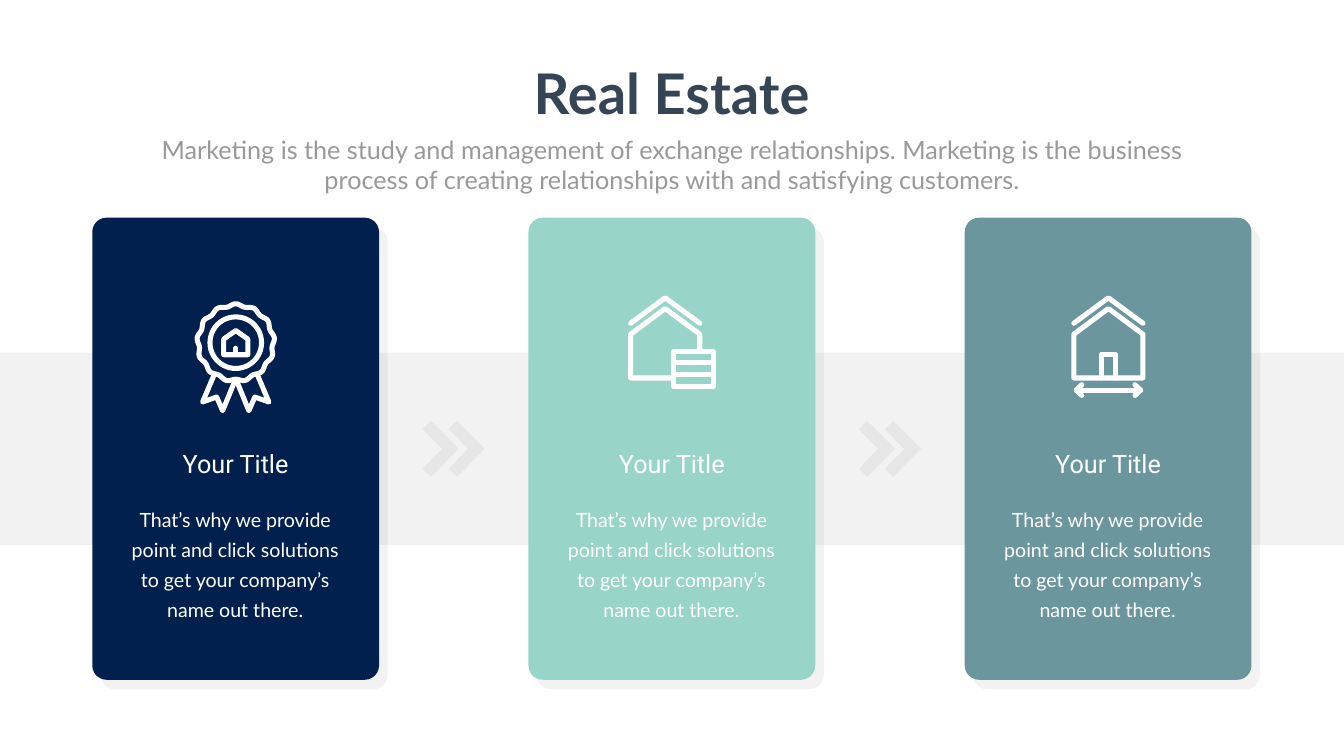
from math import cos, pi, sin

from lxml import etree
from pptx import Presentation
from pptx.dml.color import RGBColor
from pptx.enum.shapes import MSO_CONNECTOR, MSO_SHAPE
from pptx.enum.text import MSO_ANCHOR, MSO_AUTO_SIZE, PP_ALIGN
from pptx.oxml.ns import qn
from pptx.util import Cm, Pt

RECT, ROUNDED, OVAL = MSO_SHAPE.RECTANGLE, MSO_SHAPE.ROUNDED_RECTANGLE, MSO_SHAPE.OVAL
STRAIGHT = MSO_CONNECTOR.STRAIGHT
CENTER, TOP = PP_ALIGN.CENTER, MSO_ANCHOR.TOP
GROW = MSO_AUTO_SIZE.SHAPE_TO_FIT_TEXT

# Content
TITLE = "Real Estate"
SUBTITLE = ("Marketing is the study and management of exchange relationships. Marketing is the "
            "business process of creating relationships with and satisfying customers.")
CARD_TEXT = "That’s why we provide point and click solutions to get your company’s name out there."
CARDS = [
    {"title": "Your Title", "text": CARD_TEXT, "fill": "01204D", "icon": "badge", "icon_at": (9.8, 15.21)},
    {"title": "Your Title", "text": CARD_TEXT, "fill": "98D4C7", "icon": "stack", "icon_at": (31.65, 14.86)},
    {"title": "Your Title", "text": CARD_TEXT, "fill": "6B969D", "icon": "width", "icon_at": (53.98, 14.86)},
]

# Formats
TITLE_FONT = {"name": "Lato", "size": Pt(80), "bold": True}
SUBTITLE_FONT = {"name": "Lato", "size": Pt(36), "bold": False}
CARD_TITLE_FONT = {"name": "Roboto", "size": Pt(36)}
CARD_TEXT_FONT = {"name": "Lato", "size": Pt(28)}
WHITE, GREY = "FFFFFF", "808080"
STROKE = 7.2

# Layout in centimetres
PAGE_W, PAGE_H = 67.72, 38.1
CARD_X, CARD_Y, CARD_W, CARD_H, PITCH = 4.65, 10.97, 14.45, 23.29, 21.98
SHADE_DX, SHADE_DY = 0.43, 0.48
CHEVRON_X, CHEVRON_Y, CHEVRON_STEP = 21.29, 21.21, 1.31
CHEVRON = [(1.83, 1.41), (0.43, 0), (0, 0.41), (0.98, 1.41), (0, 2.41), (0.43, 2.82)]

# Icon strokes: (points, closed), measured from the icon's corner
BADGE_X, BADGE_Y, RING_R = 2.08, 2.06, 1.3
LOBES, LOBE_R, LOBE_DEPTH, STEPS = 13, 1.9, 0.06, 156
ROOF = ([(0.13, 1.43), (1.87, 0.15), (3.61, 1.43)], False)
RIBBON = [(0.97, 3.73), (0.41, 5.05), (1.12, 4.8), (1.42, 5.49), (2.03, 4)]


def scallop():
    points = []
    for step in range(STEPS):
        angle = 2 * pi * step / STEPS
        radius = LOBE_R + LOBE_DEPTH * cos(LOBES * angle)
        points.append((BADGE_X + radius * sin(angle), BADGE_Y - radius * cos(angle)))
    return points


ICONS = {
    "badge": [
        (scallop(), True),
        (RIBBON, False),
        ([(2 * BADGE_X - x, y) for x, y in RIBBON], False),
        ([(1.47, 1.88), (2.08, 1.45), (2.69, 1.88), (2.69, 2.67), (1.47, 2.67)], True),
        ([(2.08, 2.34), (2.08, 2.6)], False),
    ],
    "stack": [
        ROOF,
        ([(3.61, 2.84), (3.61, 1.98), (1.87, 0.69), (0.13, 1.98), (0.13, 4.19), (2.29, 4.19)], False),
        ([(2.29, 2.84), (4.29, 2.84), (4.29, 4.61), (2.29, 4.61)], True),
        ([(2.29, 3.43), (4.29, 3.43)], False),
        ([(2.29, 4.02), (4.29, 4.02)], False),
    ],
    "width": [
        ROOF,
        ([(0.13, 1.98), (1.87, 0.69), (3.61, 1.98), (3.61, 4.19), (0.13, 4.19)], True),
        ([(1.52, 4.19), (1.52, 3), (2.21, 3), (2.21, 4.19)], False),
        ([(0.25, 4.8), (3.49, 4.8)], False),
        ([(0.53, 4.53), (0.25, 4.8), (0.53, 5.07)], False),
        ([(3.21, 4.53), (3.49, 4.8), (3.21, 5.07)], False),
    ],
}


def paint(color_format, color):
    color_format.rgb = RGBColor.from_string(color)


def fill_shape(shape, color, alpha=None):
    shape.shadow.inherit = False
    shape.line.fill.background()
    shape.fill.solid()
    paint(shape.fill.fore_color, color)
    if alpha:
        tint = shape.fill._xPr.find(".//" + qn("a:srgbClr"))
        etree.SubElement(tint, qn("a:alpha")).set("val", str(alpha * 1000))


def add_block(page, kind, left, top, width, height, color, alpha=None):
    block = page.shapes.add_shape(kind, Cm(left), Cm(top), Cm(width), Cm(height))
    if kind == ROUNDED:
        block.adjustments[0] = 0.05
    fill_shape(block, color, alpha)


def add_outline(page, points, left, top, closed=True):
    spots = [(Cm(left + x), Cm(top + y)) for x, y in points]
    builder = page.shapes.build_freeform(*spots[0])
    builder.add_line_segments(spots[1:], close=closed)
    return builder.convert_to_shape()


def stroke_line(line):
    line.width = Pt(STROKE)
    line.fill.solid()
    paint(line.color, WHITE)
    outline = line._get_or_add_ln()
    outline.set("cap", "rnd")
    etree.SubElement(outline, qn("a:round"))


def add_icon(page, name, left, top):
    for points, closed in ICONS[name]:
        if len(points) == 2:
            (x1, y1), (x2, y2) = points
            part = page.shapes.add_connector(
                STRAIGHT, Cm(left + x1), Cm(top + y1), Cm(left + x2), Cm(top + y2))
            etree.SubElement(part._element.spPr, qn("a:ln"))
            stroke_line(part.line)
            etree.SubElement(part._element.spPr, qn("a:effectLst"))
        else:
            part = add_outline(page, points, left, top, closed)
            part.shadow.inherit = False
            part.fill.background()
            stroke_line(part.line)
    if name == "badge":
        ring = page.shapes.add_shape(OVAL, Cm(left + BADGE_X - RING_R), Cm(top + BADGE_Y - RING_R),
                                     Cm(2 * RING_R), Cm(2 * RING_R))
        ring.shadow.inherit = False
        ring.fill.background()
        stroke_line(ring.line)


def write(box, text, font, color, place, spacing=None, wrap=True):
    box.left, box.top, box.width, box.height = map(Cm, place)
    frame = box.text_frame
    frame.word_wrap, frame.auto_size, frame.vertical_anchor = wrap, GROW, TOP
    para = frame.paragraphs[0]
    para.alignment, para.space_before = CENTER, Pt(0)
    if spacing:
        para.line_spacing = spacing
    span = para.add_run()
    span.text = text
    for key, value in font.items():
        setattr(span.font, key, value)
    paint(span.font.color, color)


def add_text(page, *details, **options):
    write(page.shapes.add_textbox(0, 0, 0, 0), *details, **options)


def main():
    deck = Presentation()
    deck.slide_width, deck.slide_height = Cm(PAGE_W), Cm(PAGE_H)
    page = deck.slides.add_slide(deck.slide_layouts[0])

    # Heading
    write(page.shapes.title, TITLE, TITLE_FONT, "364556", (26.44, 2.84, 14.81, 3.68), wrap=False)
    write(page.placeholders[1], SUBTITLE, SUBTITLE_FONT, "999999", (7.42, 6.63, 52.88, 3.33))

    # Band and card shades
    add_block(page, RECT, 0, 17.78, PAGE_W, 9.68, GREY, alpha=10)
    lefts = [CARD_X + PITCH * number for number in range(len(CARDS))]
    for left in lefts:
        add_block(page, ROUNDED, left + SHADE_DX, CARD_Y + SHADE_DY, CARD_W, CARD_H, GREY, alpha=10)

    # Cards
    for card, left in zip(CARDS, lefts):
        add_block(page, ROUNDED, left, CARD_Y, CARD_W, CARD_H, card["fill"])
        add_icon(page, card["icon"], *card["icon_at"])
        add_text(page, card["title"], CARD_TITLE_FONT, WHITE, (left + 2.82, 22.45, 8.81, 1.8))
        add_text(page, card["text"], CARD_TEXT_FONT, WHITE, (left + 1.7, 25.12, 11, 6.22), spacing=Pt(43))

    # Double chevrons between the cards
    for gap in range(len(CARDS) - 1):
        for step in range(2):
            left = CHEVRON_X + PITCH * gap + CHEVRON_STEP * step
            fill_shape(add_outline(page, CHEVRON, left, CHEVRON_Y), GREY, alpha=10)

    deck.save("out.pptx")


if __name__ == "__main__":
    main()
